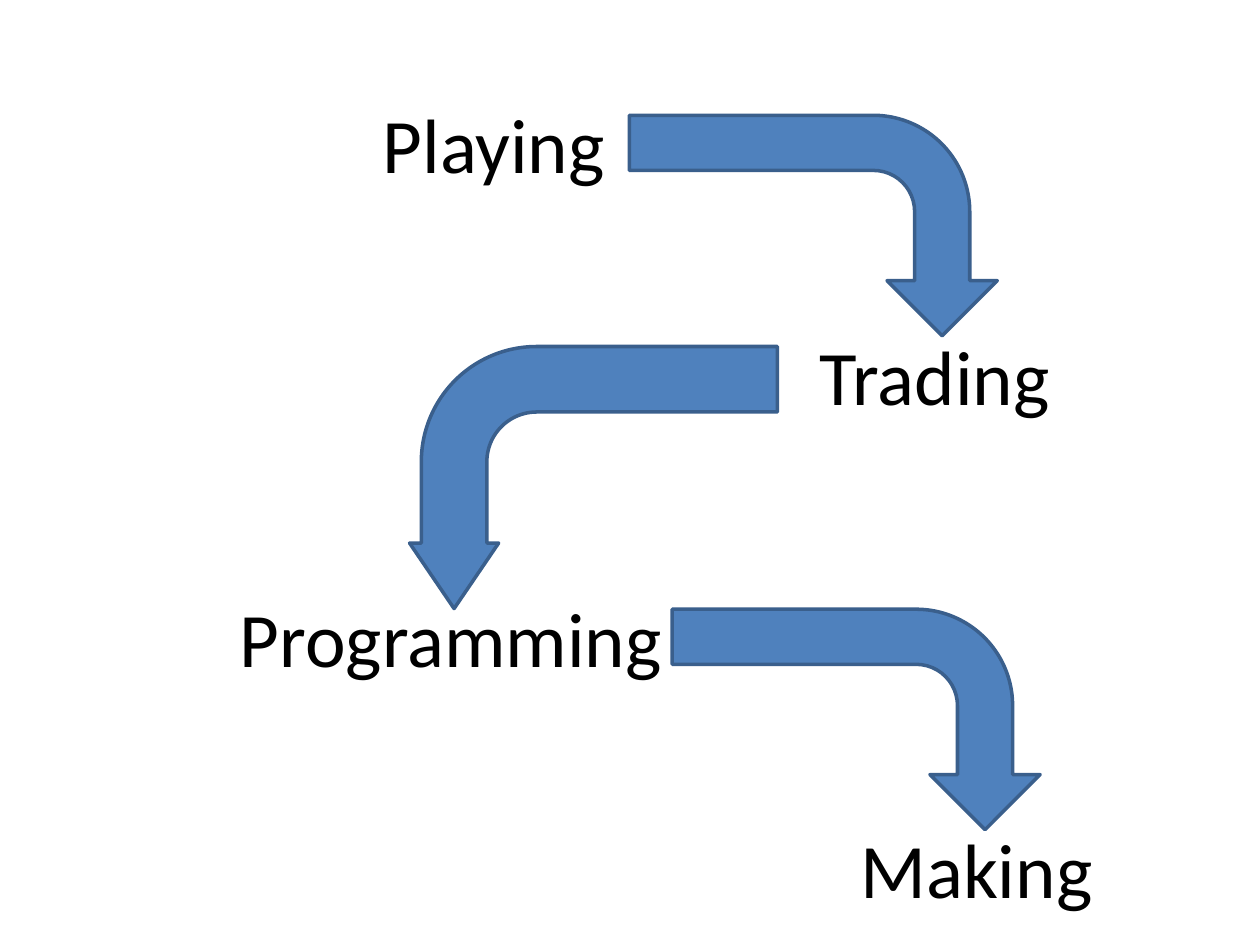
from pptx import Presentation
from pptx.dml.color import RGBColor
from pptx.enum.shapes import MSO_SHAPE
from pptx.enum.text import MSO_ANCHOR, PP_ALIGN
from pptx.util import Inches, Pt


def color(hex_code):
    return RGBColor.from_string(hex_code)


class StageSlide:
    font_name = "Calibri"
    font_size = Pt(44)
    text_color = "000000"
    arrow_fill = "4F81BD"
    arrow_line = "3A5F8C"

    def __init__(self, slide):
        self.slide = slide

    def stage(self, name, left, top):
        label = self.slide.shapes.add_textbox(
            Inches(left), Inches(top), Inches(8.5), Inches(1.61))
        frame = label.text_frame
        frame.word_wrap = True
        frame.vertical_anchor = MSO_ANCHOR.MIDDLE
        paragraph = frame.paragraphs[0]
        paragraph.text = name
        paragraph.alignment = PP_ALIGN.CENTER
        paragraph.font.name = self.font_name
        paragraph.font.size = self.font_size
        paragraph.font.color.rgb = color(self.text_color)

    def bent_arrow(self, left, top, width, rotation=90, mirrored=False, adjustments=()):
        """Draw a bent arrow; the box is given as it is before rotation."""
        arrow = self.slide.shapes.add_shape(
            MSO_SHAPE.BENT_ARROW,
            Inches(left), Inches(top), Inches(width), Inches(2.92))
        arrow.rotation = rotation
        if mirrored:
            arrow._element.spPr.xfrm.set("flipH", "1")
        for index, value in enumerate(adjustments):
            arrow.adjustments[index] = value
        arrow.shadow.inherit = False
        arrow.fill.solid()
        arrow.fill.fore_color.rgb = color(self.arrow_fill)
        arrow.line.color.rgb = color(self.arrow_line)
        arrow.line.width = Pt(2)


def main():
    deck = Presentation()
    deck.slide_width, deck.slide_height = Inches(10), Inches(7.5)
    path_to_making = StageSlide(deck.slides.add_slide(deck.slide_layouts[6]))

    for name, left, top in (
        ("Playing", -0.33, 0.33),
        ("Trading", 3.17, 2.17),
        ("Programming", -0.67, 4.25),
        ("Making", 3.5, 6.08),
    ):
        path_to_making.stage(name, left, top)

    path_to_making.bent_arrow(5.58, 0.33, 1.75)
    path_to_making.bent_arrow(3.67, 2.33, 2.08, rotation=270, mirrored=True,
                              adjustments=(0.25, 0.17, 0.25, 0.44))
    path_to_making.bent_arrow(5.92, 4.25, 1.75)

    deck.save("out.pptx")


if __name__ == "__main__":
    main()
